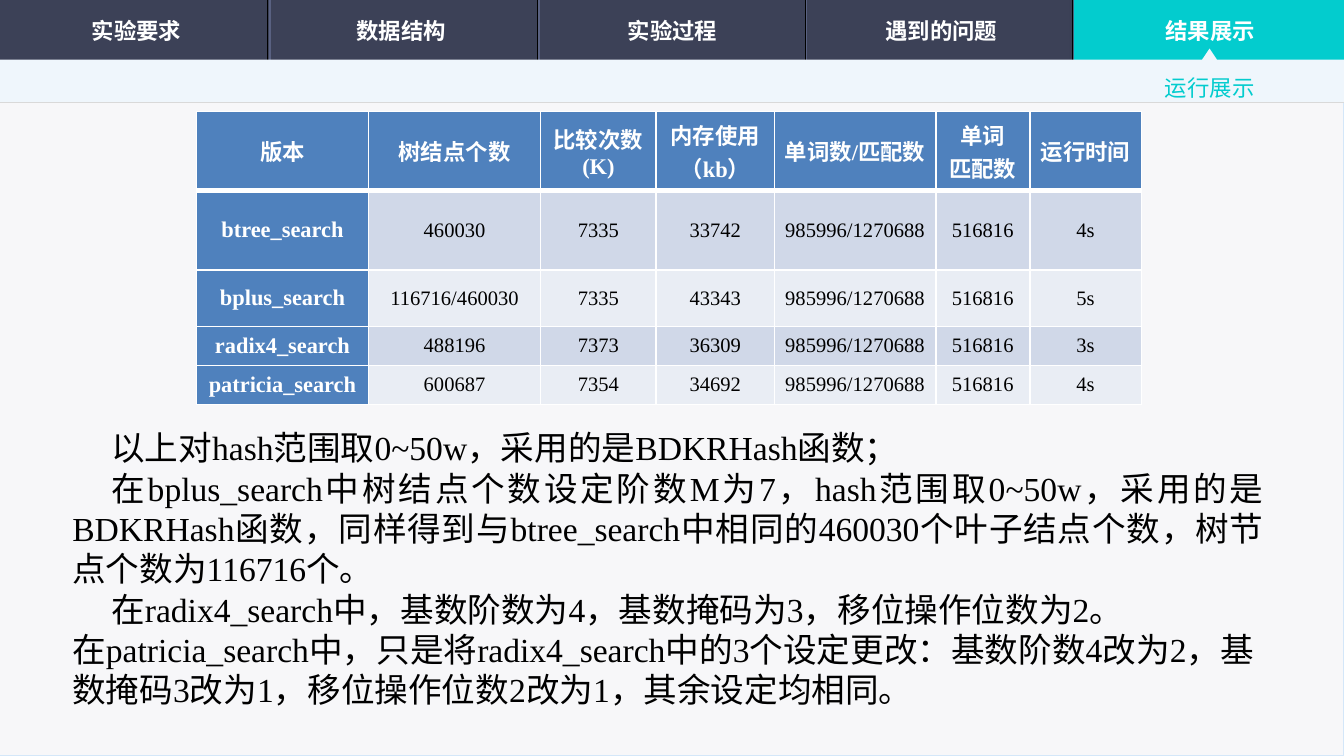
from lxml import etree
from pptx import Presentation
from pptx import util as u
from pptx.dml import color
from pptx.enum import shapes, text
from pptx.oxml import ns

COLORS = {
    "bar": "3C4157", "body": "F7F7F9", "body_edge": "D4E7F9", "black": "000000",
    "groove": "596181", "accent": "03CCCE", "slate": "3B445B", "strip": "EFF6FC",
    "rule": "D9D9D9", "white": "FFFFFF", "head": "4F81BD",
    "odd": "D0D8E8", "even": "E9EDF4",
}
SANS, SERIF = "Noto Sans CJK SC", "Times New Roman"
MIDDLE, CENTER = text.MSO_ANCHOR.MIDDLE, text.PP_ALIGN.CENTER
BAR_HEIGHT, STRIP_BOTTOM = 32.4, 54.72

TABS = ["实验要求", "数据结构", "实验过程", "遇到的问题", "结果展示"]
TAB_LEFTS = [1.44, 143.28, 288.72, 432.72, 576.72]
DIVIDERS = [(143.28, 144.72), (288, 288.72), (431.28, 432), (574.56, 575.28)]
COLUMNS = [92.16, 92.16, 61.92, 63.36, 86.4, 50.4, 59.76]
ROWS = [42.48, 42.48, 30.24, 20.88, 20.88]
WORDS, MATCHES = "985996/1270688", "516816"
RESULTS = [
    ["版本", "树结点个数", "比较次数(K)", "内存使用（kb）", "单词数/匹配数", "单词\n匹配数", "运行时间"],
    ["btree_search", "460030", "7335", "33742", WORDS, MATCHES, "4s"],
    ["bplus_search", "116716/460030", "7335", "43343", WORDS, MATCHES, "5s"],
    ["radix4_search", "488196", "7373", "36309", WORDS, MATCHES, "3s"],
    ["patricia_search", "600687", "7354", "34692", WORDS, MATCHES, "4s"],
]
NOTES = [
    "以上对hash范围取0~50w，采用的是BDKRHash函数；",
    "在bplus_search中树结点个数设定阶数M为7，hash范围取0~50w，采用的是BDKRHash函数，"
    "同样得到与btree_search中相同的460030个叶子结点个数，树节点个数为116716个。",
    "在radix4_search中，基数阶数为4，基数掩码为3，移位操作位数为2。",
    "在patricia_search中，只是将radix4_search中的3个设定更改：基数阶数4改为2，"
    "基数掩码3改为1，移位操作位数2改为1，其余设定均相同。",
]


def rgb(name):
    return color.RGBColor.from_string(COLORS[name])


def add_node(parent, tag, **attributes):
    return etree.SubElement(parent, ns.qn(tag), attributes)


class Painter:
    """Draws styled elements on the current page."""

    def __init__(self, page):
        self.page = page

    def background(self, first, last, angle):
        fill = self.page.background.fill
        fill.gradient()
        fill.gradient_angle = angle
        for stop, name, position in zip(fill.gradient_stops, (first, last), (0, 1)):
            stop.color.rgb = rgb(name)
            stop.position = position

    def paint(self, shape, fill=None, edge=None):
        shape.shadow.inherit = False
        if fill:
            shape.fill.solid()
            shape.fill.fore_color.rgb = rgb(fill)
        else:
            shape.fill.background()
        if edge:
            shape.line.color.rgb = rgb(edge)
            shape.line.width = u.Pt(0.5)
        else:
            shape.line.fill.background()
        return shape

    def shape(self, kind, left, top, width, height, fill=None, edge=None):
        shape = self.page.shapes.add_shape(
            kind, u.Pt(left), u.Pt(top), u.Pt(width), u.Pt(height))
        return self.paint(shape, fill, edge)

    def rect(self, *place, **style):
        return self.shape(shapes.MSO_SHAPE.RECTANGLE, *place, **style)

    def glow(self, shape):
        effects = shape._element.spPr.find(ns.qn("a:effectLst"))
        shadow = add_node(effects, "a:outerShdw", blurRad=str(u.Pt(3)), dist="0",
                          dir="16200000", rotWithShape="0")
        tint = add_node(shadow, "a:srgbClr", val=COLORS["black"])
        add_node(tint, "a:alpha", val="20000")

    def polygon(self, points, fill):
        builder = self.page.shapes.build_freeform(*points[0], scale=u.Pt(1))
        builder.add_line_segments(points[1:], close=True)
        return self.paint(builder.convert_to_shape(), fill)

    def line(self, start, end, name, width):
        line = self.page.shapes.add_connector(
            shapes.MSO_CONNECTOR.STRAIGHT, *(u.Pt(value) for value in start + end))
        line.line.color.rgb = rgb(name)
        line.line.width = u.Pt(width)
        add_node(line._element.spPr, "a:effectLst")

    def format(self, paragraph, size, font, name, bold=False):
        for span in paragraph.runs:
            span.font.size = u.Pt(size)
            span.font.name = font
            span.font.bold = bold
            span.font.color.rgb = rgb(name)
            add_node(span._r.get_or_add_rPr(), "a:ea", typeface=SANS)

    def label(self, left, top, width, height, words):
        box = self.shape(shapes.MSO_SHAPE.ROUNDED_RECTANGLE, left, top, width, height)
        box.adjustments[0] = 0
        frame = box.text_frame
        frame.text = words
        frame.vertical_anchor = MIDDLE
        frame.paragraphs[0].alignment = CENTER
        self.format(frame.paragraphs[0], 12, SANS, "white", True)

    def text(self, left, top, width, height, words, wrap=True):
        box = self.page.shapes.add_textbox(
            u.Pt(left), u.Pt(top), u.Pt(width), u.Pt(height))
        frame = box.text_frame
        frame.text = words
        frame.word_wrap = wrap
        frame.auto_size = text.MSO_AUTO_SIZE.SHAPE_TO_FIT_TEXT
        return frame

    def cell(self, cell, words, fill, header, size, name, bold):
        cell.margin_left = cell.margin_right = u.Pt(5.04)
        cell.margin_top = cell.margin_bottom = 0
        cell.vertical_anchor = MIDDLE
        cell.fill.solid()
        cell.fill.fore_color.rgb = rgb(fill)
        cell.text_frame.text = words
        for paragraph in cell.text_frame.paragraphs:
            paragraph.alignment = CENTER
            self.format(paragraph, size, SERIF, name, bold)
        properties = cell._tc.get_or_add_tcPr()
        widths = {"L": 1, "R": 1, "T": 1, "B": 3 if header else 1}
        for place, (side, width) in enumerate(widths.items()):
            border = add_node(properties, f"a:ln{side}", w=str(u.Pt(width)))
            add_node(add_node(border, "a:solidFill"), "a:srgbClr", val=COLORS["white"])
            properties.insert(place, border)

    def table(self, left, top, columns, rows, data):
        table = self.page.shapes.add_table(
            len(rows), len(columns), u.Pt(left), u.Pt(top),
            u.Pt(sum(columns)), u.Pt(sum(rows))).table
        for column, width in zip(table.columns, columns):
            column.width = u.Pt(width)
        for i, (row, height) in enumerate(zip(table.rows, rows)):
            row.height = u.Pt(height)
            for j, words in enumerate(data[i]):
                if i == 0 or j == 0:
                    style = ("head", i == 0, 12, "white", True)
                else:
                    style = ("odd" if i % 2 else "even", False, 11, "black", False)
                self.cell(table.cell(i, j), words, *style)


def main():
    deck = Presentation()
    deck.slide_width, deck.slide_height = u.Pt(720), u.Pt(405)
    painter = Painter(deck.slides.add_slide(deck.slide_layouts[6]))
    painter.background("accent", "slate", 315)

    painter.rect(0, 0, 720, BAR_HEIGHT, fill="bar")
    painter.rect(0, BAR_HEIGHT, 720, 405 - BAR_HEIGHT, fill="body", edge="body_edge")
    for dark, light in DIVIDERS:
        painter.line((dark, 0), (dark, BAR_HEIGHT), "black", 0.5)
        painter.line((light, 0), (light, BAR_HEIGHT), "groove", 0.75)
    painter.glow(painter.rect(575.28, 0, 144.72, BAR_HEIGHT, fill="accent"))
    painter.polygon([(647.5, 26), (651.5, BAR_HEIGHT), (720, BAR_HEIGHT),
                     (720, STRIP_BOTTOM), (0, STRIP_BOTTOM), (0, BAR_HEIGHT),
                     (643.5, BAR_HEIGHT)], "strip")
    painter.line((0, STRIP_BOTTOM), (720, STRIP_BOTTOM), "rule", 0.5)

    section = painter.text(617, 30.24, 63.36, 26.64, "运行展示", wrap=False)
    section.vertical_anchor = MIDDLE
    section.paragraphs[0].line_spacing = 1.5
    painter.format(section.paragraphs[0], 12, SANS, "accent")
    for left, words in zip(TAB_LEFTS, TABS):
        painter.label(left, 5.04, 143.28, 22.32, words)

    painter.table(105.3, 59.76, COLUMNS, ROWS, RESULTS)

    notes = painter.text(31.68, 225.36, 652.32, 159.84, "\n".join(NOTES))
    for paragraph in notes.paragraphs:
        painter.format(paragraph, 18, SERIF, "black")
    for paragraph in notes.paragraphs[:-1]:
        paragraph.alignment = text.PP_ALIGN.JUSTIFY
        properties = paragraph._p.get_or_add_pPr()
        properties.set("marL", "0")
        properties.set("indent", str(u.Pt(20.88)))
    deck.save("out.pptx")


if __name__ == "__main__":
    main()
